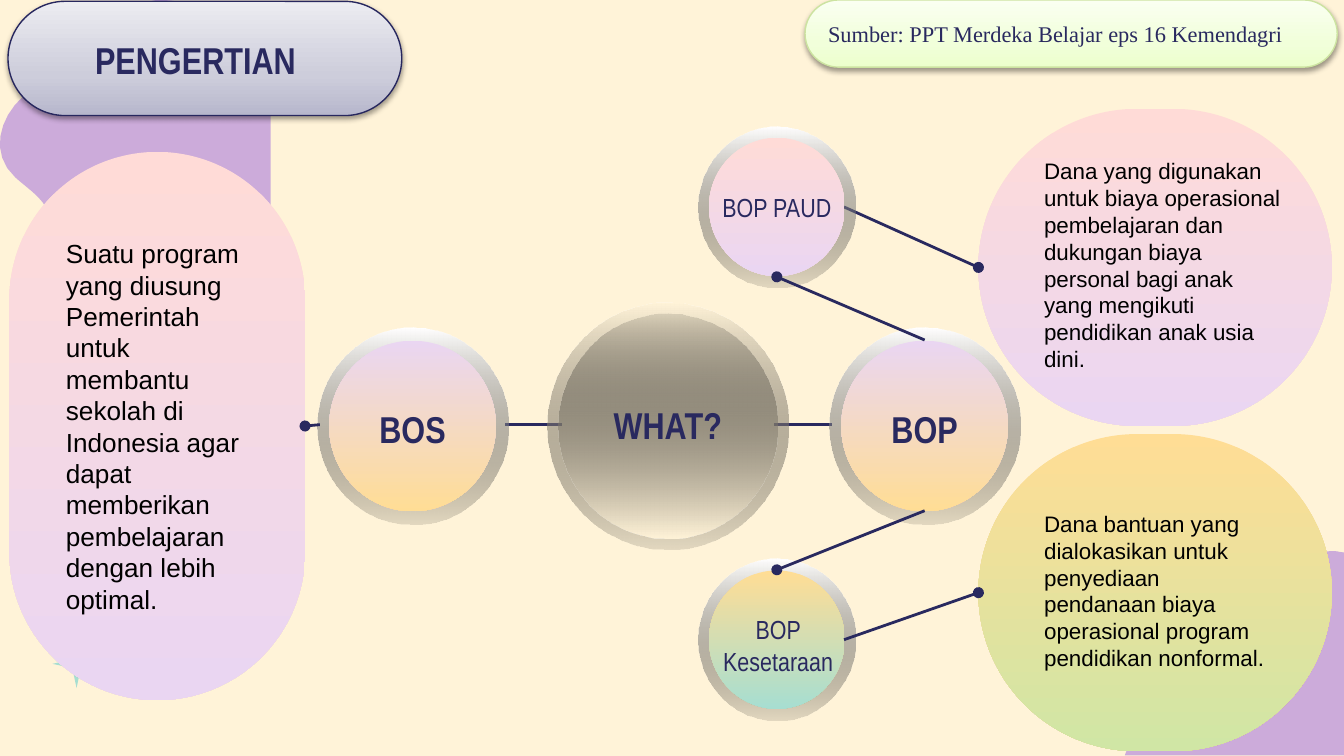
import pptx
import pptx.util
import pptx.dml.color
import pptx.enum.shapes
import pptx.enum.text
import pptx.oxml.ns
from lxml import etree

Inches, Pt = pptx.util.Inches, pptx.util.Pt
SHAPE = pptx.enum.shapes.MSO_SHAPE
ANCHOR = pptx.enum.text.MSO_ANCHOR
ALIGN = pptx.enum.text.PP_ALIGN
qn = pptx.oxml.ns.qn

# Colours and text formats
CREAM, NAVY, LILAC, MINT = "FFF3D8", "29295F", "CCABDA", "A7DED1"
PINK, MAUVE, AMBER, LIME = "FFDBD7", "EAD6F2", "FFDD95", "D0E6A5"
HEADING = {"name": "Arial Narrow", "size": Pt(20), "bold": True}
LABEL = {"name": "Arial Narrow", "size": Pt(14), "bold": False}
BODY = {"name": "Arial", "size": Pt(12)}
BODY_LARGE = {"name": "Arial", "size": Pt(14)}
SOURCE = {"name": "Times New Roman", "size": Pt(12)}

# Corner blobs: rotation, start point, then curves (6 numbers) and straight lines (2 numbers)
BLOBS = [
    (180, (0.81, 1.71), [
        (0.72, 1.71, 0.63, 1.69, 0.55, 1.64), (0.43, 1.58, 0.34, 1.49, 0.24, 1.41),
        (0.2, 1.37, 0.14, 1.33, 0.08, 1.32), (0.06, 1.31, 0.03, 1.31, 0, 1.31),
        (0, 0), (1.63, 0), (1.63, 0.04, 1.64, 0.07, 1.65, 0.11),
        (1.68, 0.23, 1.8, 0.3, 1.9, 0.39), (2.14, 0.61, 1.97, 0.97, 1.69, 1.09),
        (1.53, 1.16, 1.31, 1.1, 1.19, 1.23), (1.1, 1.33, 1.1, 1.46, 1.05, 1.57),
        (1.01, 1.64, 0.94, 1.7, 0.85, 1.71)]),
    (0, (9.92, 4.1), [
        (9.83, 4.1, 9.74, 4.14, 9.67, 4.21), (9.58, 4.3, 9.51, 4.41, 9.38, 4.44),
        (9.34, 4.44, 9.3, 4.45, 9.27, 4.45), (9.18, 4.45, 9.1, 4.43, 9.01, 4.41),
        (8.94, 4.39, 8.87, 4.38, 8.8, 4.38), (8.74, 4.38, 8.69, 4.39, 8.64, 4.41),
        (8.62, 4.42, 8.6, 4.43, 8.58, 4.44), (8.44, 4.54, 8.43, 4.69, 8.54, 4.81),
        (8.61, 4.9, 8.74, 4.98, 8.76, 5.1), (8.78, 5.3, 8.51, 5.38, 8.42, 5.51),
        (8.4, 5.54, 8.38, 5.59, 8.37, 5.62),
        (10, 5.62), (10, 4.11), (9.97, 4.11, 9.95, 4.1, 9.92, 4.1)]),
]

# Cards: place, gradient top and bottom, text, text place, format
CARDS = {
    "BOS": ((0.07, 1.13, 2.2, 4.08), PINK, MAUVE,
            "Suatu program yang diusung Pemerintah untuk membantu sekolah di Indonesia "
            "agar dapat memberikan pembelajaran dengan lebih optimal.", None, BODY_LARGE),
    "BOP PAUD": ((7.28, 0.81, 2.63, 2.36), PINK, MAUVE,
                 "Dana yang digunakan untuk biaya operasional pembelajaran dan dukungan biaya "
                 "personal bagi anak yang mengikuti pendidikan anak usia dini.",
                 (7.67, 1.24, 1.97, 1.46), BODY),
    "BOP Kesetaraan": ((7.28, 3.23, 2.63, 2.36), AMBER, LIME,
                       "Dana bantuan yang dialokasikan untuk penyediaan pendanaan biaya "
                       "operasional program pendidikan nonformal.",
                       (7.67, 3.48, 1.85, 1.83), BODY),
}

# Circles: label, centre, ring size, disc size, ring top, disc gradient, label place, anchor, format
DARK = ("000000", 11)
CIRCLES = [
    ("WHAT?", (4.97, 3.17), (1.79, 1.84), (1.63, 1.67), CREAM, (DARK, CREAM),
     (4.18, 2.92, 1.58, 0.48), ANCHOR.MIDDLE, HEADING),
    ("BOP", (6.88, 3.17), (1.42, 1.46), (1.24, 1.27), "FFFFFF", (MAUVE, AMBER),
     (6.19, 2.92, 1.38, 0.48), ANCHOR.TOP, HEADING),
    ("BOS", (3.07, 3.17), (1.42, 1.46), (1.24, 1.27), "FFFFFF", (MAUVE, AMBER),
     (2.38, 2.92, 1.38, 0.48), ANCHOR.TOP, HEADING),
    ("BOP Kesetaraan", (5.78, 4.76), (1.17, 1.2), (1.01, 1.03), "FFFFFF", (AMBER, MINT),
     (5.15, 4.63, 1.28, 0.34), ANCHOR.MIDDLE, LABEL),
    ("BOP PAUD", (5.78, 1.54), (1.17, 1.2), (1.01, 1.03), "FFFFFF", (PINK, MAUVE),
     (5.14, 1.37, 1.28, 0.34), ANCHOR.MIDDLE, LABEL),
]

# Lines: from, to, oval end, card joined and its side
LEFT, RIGHT = 1, 3
LINES_BEHIND = [
    ((4.18, 3.16), (3.76, 3.16), False, None),
    ((5.76, 3.16), (6.19, 3.16), False, None),
    ((6.28, 1.54), (7.28, 1.99), True, ("BOP PAUD", LEFT)),
]
LINES_FRONT = [
    ((2.38, 3.16), (2.27, 3.17), True, ("BOS", RIGHT)),
    ((6.88, 3.8), (5.78, 4.24), True, None),
    ((6.28, 4.76), (7.28, 4.41), True, ("BOP Kesetaraan", LEFT)),
    ((6.88, 2.53), (5.78, 2.06), True, None),
]

prs = pptx.Presentation()
prs.slide_width, prs.slide_height = Inches(10), Inches(10 * 9 / 16)
slide = prs.slides.add_slide(prs.slide_layouts[5])
shapes = slide.shapes


def rgb(color):
    return pptx.dml.color.RGBColor.from_string(color)


def add_color(parent, color, alpha=100):
    node = etree.SubElement(parent, qn("a:srgbClr"), val=color)
    if alpha < 100:
        etree.SubElement(node, qn("a:alpha"), val=str(alpha * 1000))


def set_gradient(shape, stops, angle):
    shape.fill.gradient()
    grad = shape._element.spPr.find(qn("a:gradFill"))
    for child in list(grad):
        grad.remove(child)
    stop_list = etree.SubElement(grad, qn("a:gsLst"))
    for position, color in stops:
        stop = etree.SubElement(stop_list, qn("a:gs"), pos=str(position * 1000))
        add_color(stop, *([color] if isinstance(color, str) else color))
    etree.SubElement(grad, qn("a:lin"), ang=str(angle * 60000), scaled="0")


def add_gradient_shape(kind, place, stops, angle=90):
    shape = shapes.add_shape(kind, *map(Inches, place))
    if kind == SHAPE.ROUNDED_RECTANGLE:
        shape.adjustments[0] = 0.5
    shape.shadow.inherit = False
    shape.line.fill.background()
    set_gradient(shape, stops, angle)
    return shape


def add_pill(place, stops, outline):
    pill = add_gradient_shape(SHAPE.ROUNDED_RECTANGLE, place, stops, 270)
    pill.line.color.rgb = rgb(outline)
    pill.line.width = Pt(0.75)
    effects = pill._element.spPr.find(qn("a:effectLst"))
    shadow = etree.SubElement(effects, qn("a:outerShdw"), blurRad=str(Pt(3.1)),
                              dist=str(Pt(1.6)), dir="5400000", rotWithShape="0")
    add_color(shadow, "000000", 38)
    return pill


def write(shape, text, fmt, color=NAVY, align=ALIGN.CENTER, anchor=ANCHOR.MIDDLE):
    frame = shape.text_frame
    frame_format = {"word_wrap": True, "vertical_anchor": anchor,
                    "auto_size": pptx.enum.text.MSO_AUTO_SIZE.NONE}
    frame_format.update({"margin_" + side: Inches(0.1)
                         for side in ("left", "top", "right", "bottom")})
    for name, value in frame_format.items():
        setattr(frame, name, value)
    frame.text = text
    frame.paragraphs[0].alignment = align
    font = frame.paragraphs[0].runs[0].font
    for name, value in fmt.items():
        setattr(font, name, value)
    font.color.rgb = rgb(color)


def style_plain(shape, color):
    shape.shadow.inherit = False
    shape.fill.solid()
    shape.fill.fore_color.rgb = rgb(color)
    shape.line.fill.background()


def trace(start, segments, steps=10):
    points = [start]
    for segment in segments:
        if len(segment) == 2:
            points.append(segment)
            continue
        corners = [points[-1], segment[:2], segment[2:4], segment[4:]]
        for step in range(1, steps + 1):
            t = step / steps
            weights = ((1 - t) ** 3, 3 * t * (1 - t) ** 2, 3 * t * t * (1 - t), t ** 3)
            points.append(tuple(sum(w * c[axis] for w, c in zip(weights, corners))
                                for axis in (0, 1)))
    return [tuple(map(Inches, point)) for point in points]


def add_line(start, end, oval, joint):
    line = shapes.add_connector(pptx.enum.shapes.MSO_CONNECTOR.STRAIGHT,
                                *map(Inches, start + end))
    line.line.color.rgb = rgb(NAVY)
    line.line.width = Pt(1.5)
    if oval:
        etree.SubElement(line.line._get_or_add_ln(), qn("a:tailEnd"), type="oval")
    etree.SubElement(line._element.spPr, qn("a:effectLst"))
    if joint:
        card, side = joint
        line.end_connect(card_shapes[card], side)


# Background decoration
slide.background.fill.solid()
slide.background.fill.fore_color.rgb = rgb(CREAM)
for rotation, start, segments in BLOBS:
    first, *rest = trace(start, segments)
    builder = shapes.build_freeform(*first)
    builder.add_line_segments(rest, close=True)
    blob = builder.convert_to_shape()
    blob.rotation = rotation
    style_plain(blob, LILAC)
star = shapes.add_shape(SHAPE.STAR_4_POINT, *map(Inches, (0.39, 4.76, 0.36, 0.36)))
star.adjustments[0] = 0.125
style_plain(star, MINT)

# Title on its pill
add_pill((0.06, 0.01, 2.93, 0.85), [(0, "B7B7CC"), (35, "CDCDDB"), (100, "ECECF1")], "27275E")
title = shapes.title
title.left, title.top, title.width, title.height = map(Inches, (0.34, 0.18, 2.23, 0.52))
write(title, "PENGERTIAN", HEADING)
shapes._spTree.append(title._element)  # bring in front of the pill

# Cards
card_shapes = {}
for name, (place, top, bottom, text, text_place, fmt) in CARDS.items():
    card = add_gradient_shape(SHAPE.ROUNDED_RECTANGLE, place, [(0, top), (100, bottom)])
    card_shapes[name] = card
    holder = shapes.add_textbox(*map(Inches, text_place)) if text_place else card
    write(holder, text, fmt, "000000", ALIGN.LEFT)

# Circles between the two layers of lines
for line in LINES_BEHIND:
    add_line(*line)
for label, (x, y), ring, disc, ring_top, (top, bottom), place, anchor, fmt in CIRCLES:
    for (w, h), stops, angle in ((ring, [(0, DARK), (100, ring_top)], 270),
                                 (disc, [(0, top), (100, bottom)], 90)):
        add_gradient_shape(SHAPE.OVAL, (x - w / 2, y - h / 2, w, h), stops, angle)
    write(shapes.add_textbox(*map(Inches, place)), label, fmt, anchor=anchor)
for line in LINES_FRONT:
    add_line(*line)

# Source note
note = add_pill((5.99, 0, 3.96, 0.5), [(0, "ECFFCC"), (35, "F1FFDA"), (100, "FAFFF1")], "CCE3A0")
write(note, "Sumber: PPT Merdeka Belajar eps 16 Kemendagri", SOURCE, align=ALIGN.LEFT)

prs.save("out.pptx")
